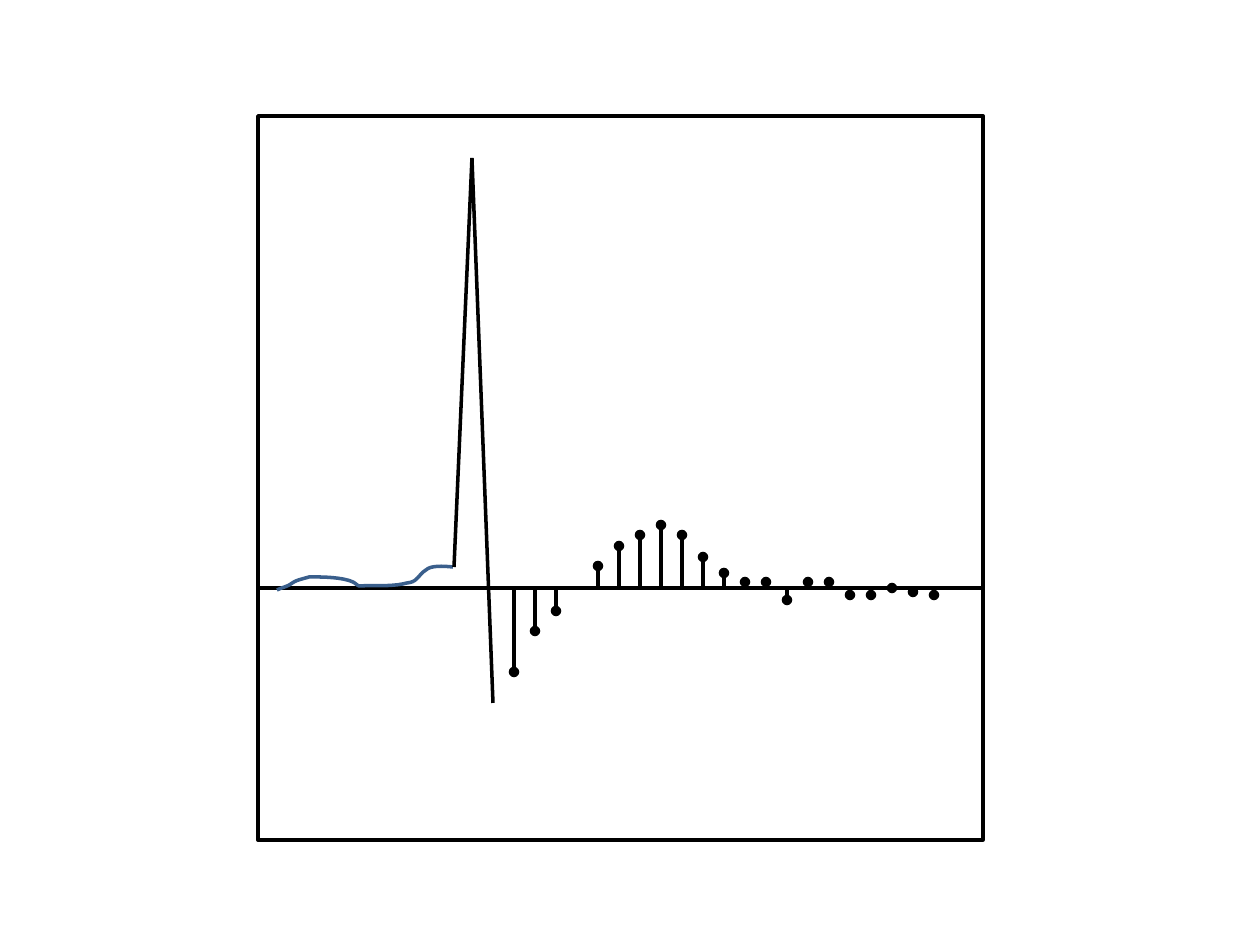
from lxml import etree
from pptx import Presentation
from pptx import util as u
from pptx.dml.color import RGBColor
from pptx.enum import shapes
from pptx.oxml.ns import qn

PX = 914400 / 126
BLACK, BLUE = "000000", "3A5F8C"

FRAME = (258, 116, 725, 724)
AXIS_Y = 588
SPIKE = [(454, 567), (472, 158), (493, 703)]
STEM_LEFT, STEM_STEP, STEM_BASE = 514, 21, 589
STEM_ENDS = [672, 631, 611, None, 566, 546, 535, 525, 535, 557, 573,
             582, 582, 600, 582, 582, 595, 595, 588, 592, 595]
WAVE_START = (277, 590)
WAVE_CURVES = [
    [(281, 588), (285, 587), (287, 586)],
    [(290, 585), (292, 583), (294, 582)],
    [(297, 580), (306, 578), (309, 577)],
    [(310, 577), (341, 576), (353, 582)],
    [(355, 583), (357, 585), (359, 586)],
    [(375, 585), (392, 587), (407, 583)],
    [(418, 582), (418, 575), (426, 570)],
    [(432, 564), (451, 567), (453, 567)],
]
CURVE_STEPS = 10


def emu(*lengths):
    return [u.Emu(round(length * PX)) for length in lengths]


def style_line(shape, color):
    shape.line.color.rgb = RGBColor.from_string(color)
    shape.line.width = u.Pt(2)


def add_line(group, start, end, dot=False):
    line = group.shapes.add_connector(
        shapes.MSO_CONNECTOR.STRAIGHT, *emu(*start, *end))
    style_line(line, BLACK)
    properties = line._element.spPr
    if dot:
        etree.SubElement(properties.find(qn("a:ln")), qn("a:tailEnd"), type="oval")
    etree.SubElement(properties, qn("a:effectLst"))


def curve_points(start, curves):
    for first, second, end in curves:
        for step in range(1, CURVE_STEPS + 1):
            t = step / CURVE_STEPS
            s = 1 - t
            yield emu(*(s**3 * a + 3 * s * s * t * b + 3 * s * t * t * c + t**3 * d
                        for a, b, c, d in zip(start, first, second, end)))
        start = end


def add_outline(shape, color):
    shape.shadow.inherit = False
    shape.fill.background()
    style_line(shape, color)


def main():
    deck = Presentation()
    deck.slide_width, deck.slide_height = u.Inches(10), u.Inches(7.5)
    slide = deck.slides.add_slide(deck.slide_layouts[6])
    group = slide.shapes.add_group_shape()

    frame = group.shapes.add_shape(shapes.MSO_SHAPE.RECTANGLE, *emu(*FRAME))
    add_outline(frame, BLACK)
    left, _, width, _ = FRAME
    add_line(group, (left, AXIS_Y), (left + width, AXIS_Y))

    builder = group.shapes.build_freeform(*emu(*WAVE_START))
    builder.add_line_segments(curve_points(WAVE_START, WAVE_CURVES), close=False)
    add_outline(builder.convert_to_shape(), BLUE)

    for start, end in zip(SPIKE, SPIKE[1:]):
        add_line(group, start, end)

    for index, end_y in enumerate(STEM_ENDS):
        if end_y is not None:
            x = STEM_LEFT + index * STEM_STEP
            add_line(group, (x, STEM_BASE), (x, end_y), dot=True)

    deck.save("out.pptx")


if __name__ == "__main__":
    main()
